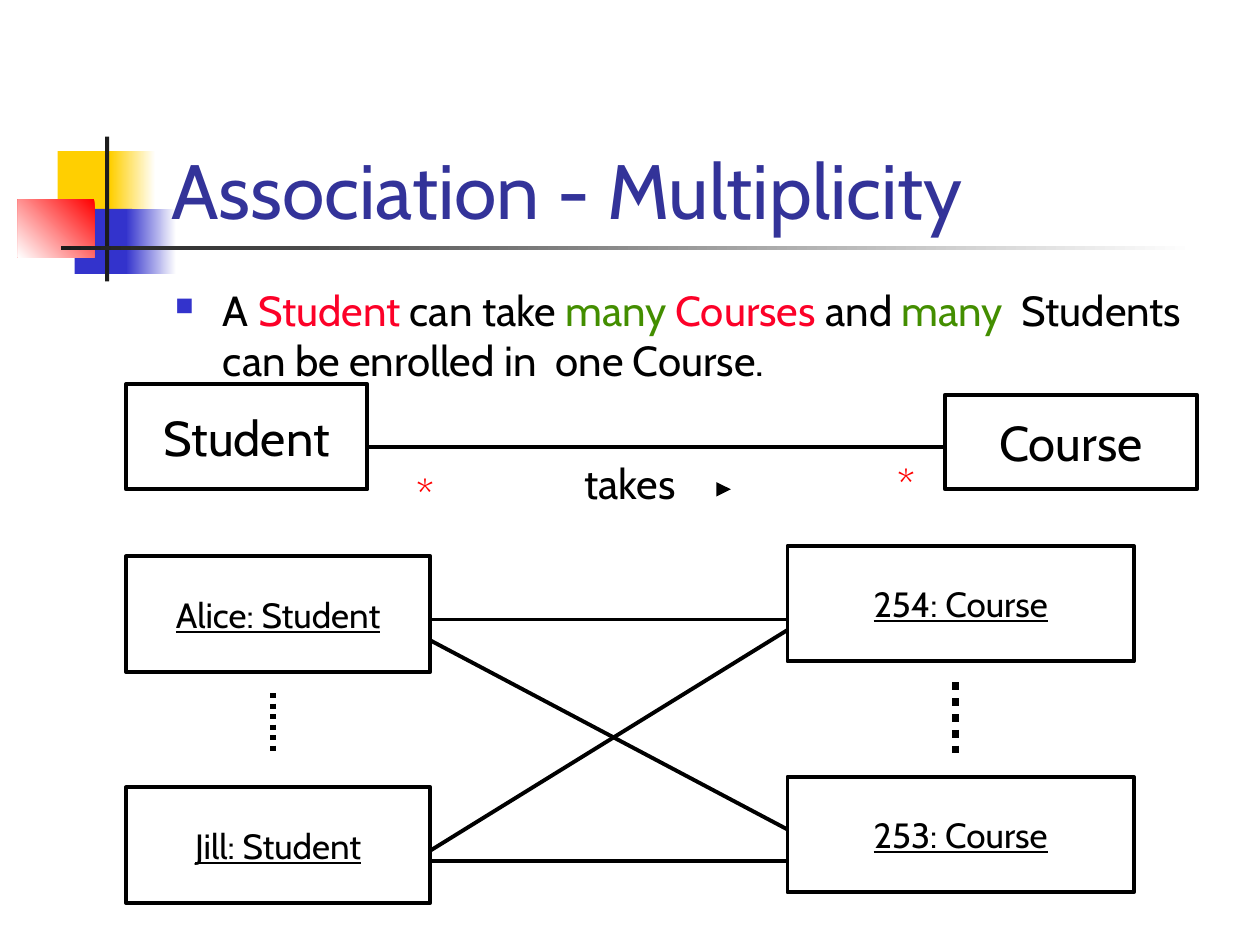
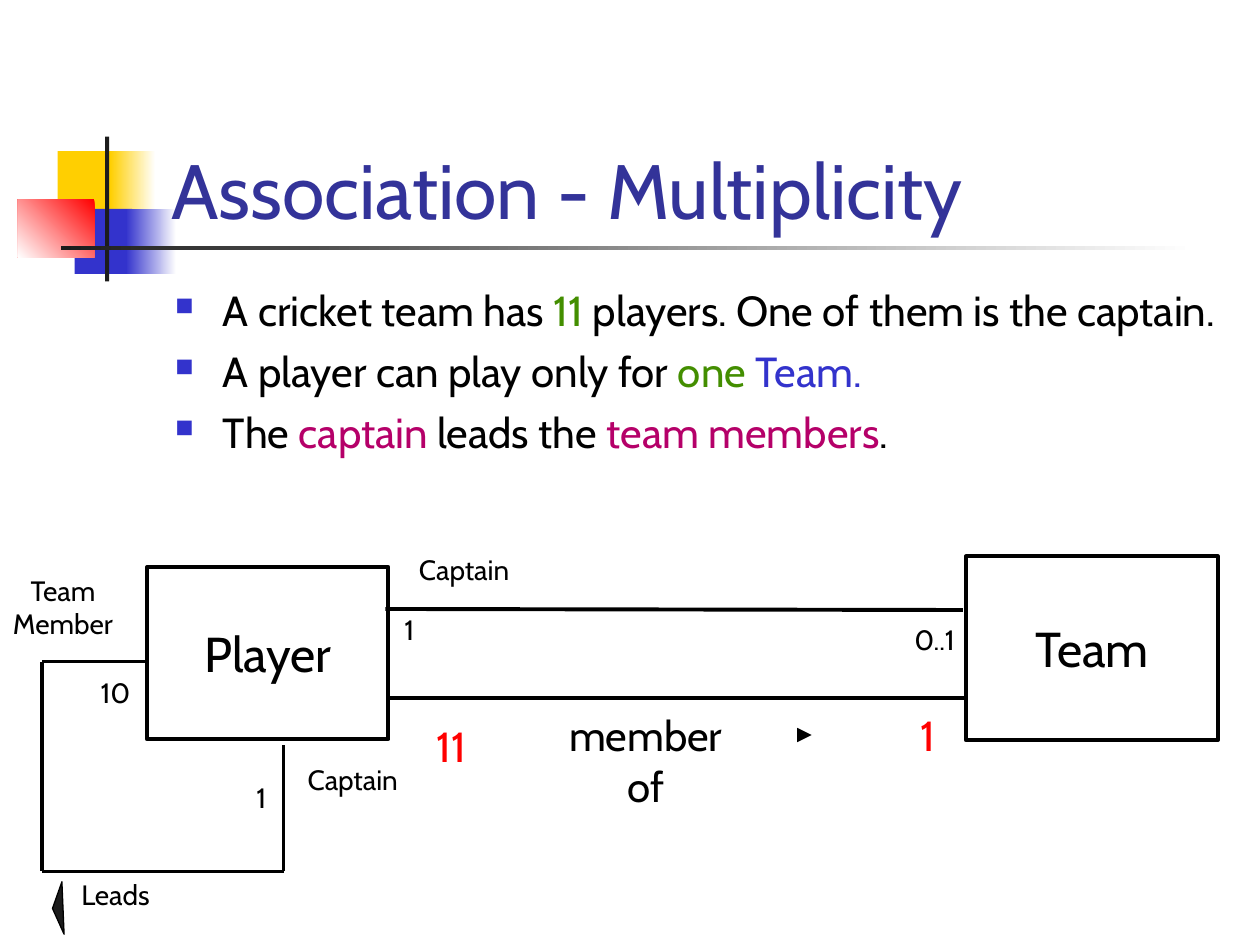
from dataclasses import dataclass

from lxml.etree import SubElement
from pptx import Presentation
from pptx.dml.color import RGBColor
from pptx.enum.dml import MSO_LINE as Dash
from pptx.enum.shapes import MSO_CONNECTOR as Conn, MSO_SHAPE as Shape
from pptx.enum.text import MSO_ANCHOR as Anchor, MSO_AUTO_SIZE as Fit, PP_ALIGN as Align
from pptx.oxml.ns import qn
from pptx.util import Inches, Pt

COLS, ROWS = 120, 90
CELL = Inches(10) / COLS
FONT = "Cabin"
BLACK, WHITE, DARK = "000000", "FFFFFF", "1C1C1C"
YELLOW, BLUE, NAVY, RED = "FFCF01", "3333CC", "333399", "FF0000"
CRIMSON, GREEN, PURPLE = "FC0128", "438E00", "B50069"


@dataclass
class Area:
    x: float
    y: float
    w: float
    h: float

    def sub(self, c, r, w, h):
        return Area(self.x + c, self.y + r, w, h)

    def point(self, c, r):
        return [round((self.x + c) * CELL), round((self.y + r) * CELL)]

    def emu(self):
        return [round(v * CELL) for v in (self.x, self.y, self.w, self.h)]


def rgb(value):
    return RGBColor.from_string(value)


def write(p, text, size, color=BLACK, **formats):
    r = p.add_run()
    r.text = text
    for name, value in {"name": FONT, "size": Pt(size), **formats}.items():
        setattr(r.font, name, value)
    r.font.color.rgb = rgb(color)


def block(s, area, color, end=None, angle=180, kind=Shape.RECTANGLE):
    sp = s.shapes.add_shape(kind, *area.emu())
    sp.shadow.inherit = False
    sp.line.fill.background()
    if end:
        sp.fill.gradient()
        sp.fill.gradient_angle = angle
        for stop, value in zip(sp.fill.gradient_stops, (color, end)):
            stop.color.rgb = rgb(value)
    else:
        sp.fill.solid()
        sp.fill.fore_color.rgb = rgb(color)
    return sp


def outline(sp, width):
    sp.line.color.rgb = rgb(BLACK)
    sp.line.width = Pt(width)


def class_box(s, area, text, size=28, underline=None):
    sp = block(s, area, WHITE)
    outline(sp, 2.25)
    tf = sp.text_frame
    tf.word_wrap = False
    tf.vertical_anchor = Anchor.MIDDLE
    p = tf.paragraphs[0]
    p.alignment = Align.CENTER
    write(p, text, size, underline=underline)


def link(s, area, start, end, width=2.25, dash=None, arrow=False):
    cx = s.shapes.add_connector(Conn.STRAIGHT, *area.point(*start), *area.point(*end))
    outline(cx, width)
    if dash:
        cx.line.dash_style = dash
    props = cx.element.spPr
    if arrow:
        SubElement(props.find(qn("a:ln")), qn("a:tailEnd"), type="triangle")
    SubElement(props, qn("a:effectLst"))


def label(s, area, text, c, r, w, size=16, color=BLACK):
    lines = text.split("\n")
    height = len(lines) * size / 6 * 1.2 + 1.2
    tf = s.shapes.add_textbox(*area.sub(c, r, w, height).emu()).text_frame
    tf.word_wrap = False
    for i, line in enumerate(lines):
        p = tf.add_paragraph() if i else tf.paragraphs[0]
        p.alignment = Align.CENTER
        write(p, line, size, color)


def logo_band(s, area):
    block(s, area.sub(3.8, 1.4, 5.8, 6.2), YELLOW)
    block(s, area.sub(8.8, 1.4, 4.3, 6.2), WHITE, YELLOW)
    block(s, area.sub(5.4, 6.9, 5.5, 6.2), BLUE)
    block(s, area.sub(10.3, 6.9, 4.8, 6.2), WHITE, BLUE)
    block(s, area.sub(0, 6, 7.3, 5.5), RED, WHITE, 225)
    block(s, area.sub(8.3, 0, 0.4, 13.8), DARK)
    block(s, area.sub(4.1, 10.4, 108, 0.4), WHITE, DARK)


def title(s, area, text):
    sp = s.shapes.title
    s.shapes.element.append(sp.element)
    sp.left, sp.top, sp.width, sp.height = area.emu()
    tf = sp.text_frame
    tf.auto_size = Fit.NONE
    tf.vertical_anchor = Anchor.BOTTOM
    p = tf.paragraphs[0]
    p.alignment = Align.LEFT
    write(p, text, 44, NAVY)


def bullet(p):
    ppr = p._p.get_or_add_pPr()
    ppr.set("marL", str(Inches(0.38)))
    ppr.set("indent", str(Inches(-0.38)))
    SubElement(SubElement(ppr, qn("a:buClr")), qn("a:srgbClr"), val=BLUE)
    SubElement(ppr, qn("a:buSzPct"), val="60000")
    SubElement(ppr, qn("a:buChar"), char="■")


def bullets(s, area, items):
    tf = s.shapes.add_textbox(*area.emu()).text_frame
    tf.word_wrap = True
    for i, runs in enumerate(items):
        p = tf.add_paragraph() if i else tf.paragraphs[0]
        bullet(p)
        if i:
            p.space_before = Pt(6)
        for text, color in runs:
            write(p, text, 24, color)


def base_slide(prs, items):
    s = prs.slides.add_slide(prs.slide_layouts[5])
    logo_band(s, Area(1.7, 13, 112, 14))
    title(s, Area(15.1, 8, 102.2, 15), "Association - Multiplicity")
    bullets(s, Area(15.5, 26.5, 102, 54), items)
    return s


def takes_diagram(s, area):
    class_box(s, area.sub(0, 0.6, 23, 10), "Student")
    class_box(s, area.sub(78, 1.6, 24, 9), "Course")
    link(s, area, (23, 6.6), (78, 6.6))
    label(s, area, "takes", 42, 7, 12, 24)
    link(s, area, (57, 10.6), (57.6, 10.6), 2.75, arrow=True)
    label(s, area, "*", 25.9, 8, 5.2, 24, RED)
    label(s, area, "*", 72, 7.1, 4.6, 24, RED)


def object_diagram(s, area):
    left, right, height, gap = 29, 33, 11, 22
    start, end = left, area.w - right
    for i, (student, course) in enumerate((("Alice", "254"), ("Jill", "253"))):
        class_box(s, area.sub(0, 1 + i * gap, left, height), f"{student}: Student", 20, True)
        class_box(s, area.sub(end, i * gap, right, height), f"{course}: Course", 20, True)
    for r1, r2 in ((7, 7), (29, 8), (9, 27), (30, 30)):
        link(s, area, (start, r1), (end, r2))
    for c, r, width in ((14, 14, 3), (79, 13, 4.5)):
        link(s, area, (c, r), (c, 20), width, Dash.ROUND_DOT)


def team_diagram(s, area):
    class_box(s, area.sub(14, 2, 23, 16.4), "Player")
    class_box(s, area.sub(92, 1, 24, 17.5), "Team")
    link(s, area, (37, 14.5), (92, 14.5))
    link(s, area, (36.7, 6), (91.7, 6.1))
    loop = [(14, 11), (4, 11), (4, 31), (27, 31), (27, 19)]
    for start, end in zip(loop, loop[1:]):
        link(s, area, start, end)
    label(s, area, "member of", 51.5, 15, 20, 24)
    link(s, area, (76.7, 18), (77.3, 18), 2.75, arrow=True)
    label(s, area, "11", 35, 16, 16, 24, RED)
    label(s, area, "1", 86, 15, 4.7, 24, RED)
    for text, c, r, w in (
        ("Captain", 38.2, 0, 12),
        ("0..1", 85.6, 6.7, 6.8),
        ("1", 37.1, 5.7, 3.8),
        ("Captain", 27.6, 20, 12),
        ("Team\nMember", 0, 2, 12),
        ("Leads", 6, 31, 10),
        ("1", 23, 21.7, 3.8),
        ("10", 8.3, 11.7, 5.4),
    ):
        label(s, area, text, c, r, w)
    sp = block(s, area.sub(3, 34, 5, 1), DARK, kind=Shape.ISOSCELES_TRIANGLE)
    sp.rotation = 267.6
    outline(sp, 0.75)


def main():
    prs = Presentation()
    prs.slide_width, prs.slide_height = round(COLS * CELL), round(ROWS * CELL)

    s = base_slide(prs, [[
        ("A ", BLACK), ("Student ", CRIMSON), ("can take ", BLACK), ("many ", GREEN),
        ("Courses ", CRIMSON), ("and ", BLACK), ("many", GREEN),
        ("  Students can be enrolled in  one Course.", BLACK),
    ]])
    takes_diagram(s, Area(12, 36, 102, 12))
    object_diagram(s, Area(12, 52, 96, 34))

    s = base_slide(prs, [
        [("A cricket team has ", BLACK), ("11 ", GREEN),
         ("players. One of them is the captain.", BLACK)],
        [("A player can play only for ", BLACK), ("one", GREEN), (" Team.", BLUE)],
        [("The ", BLACK), ("captain ", PURPLE), ("leads the ", BLACK),
         ("team members", PURPLE), (".", BLACK)],
    ])
    team_diagram(s, Area(0, 52, 120, 38))
    prs.save("out.pptx")


if __name__ == "__main__":
    main()
